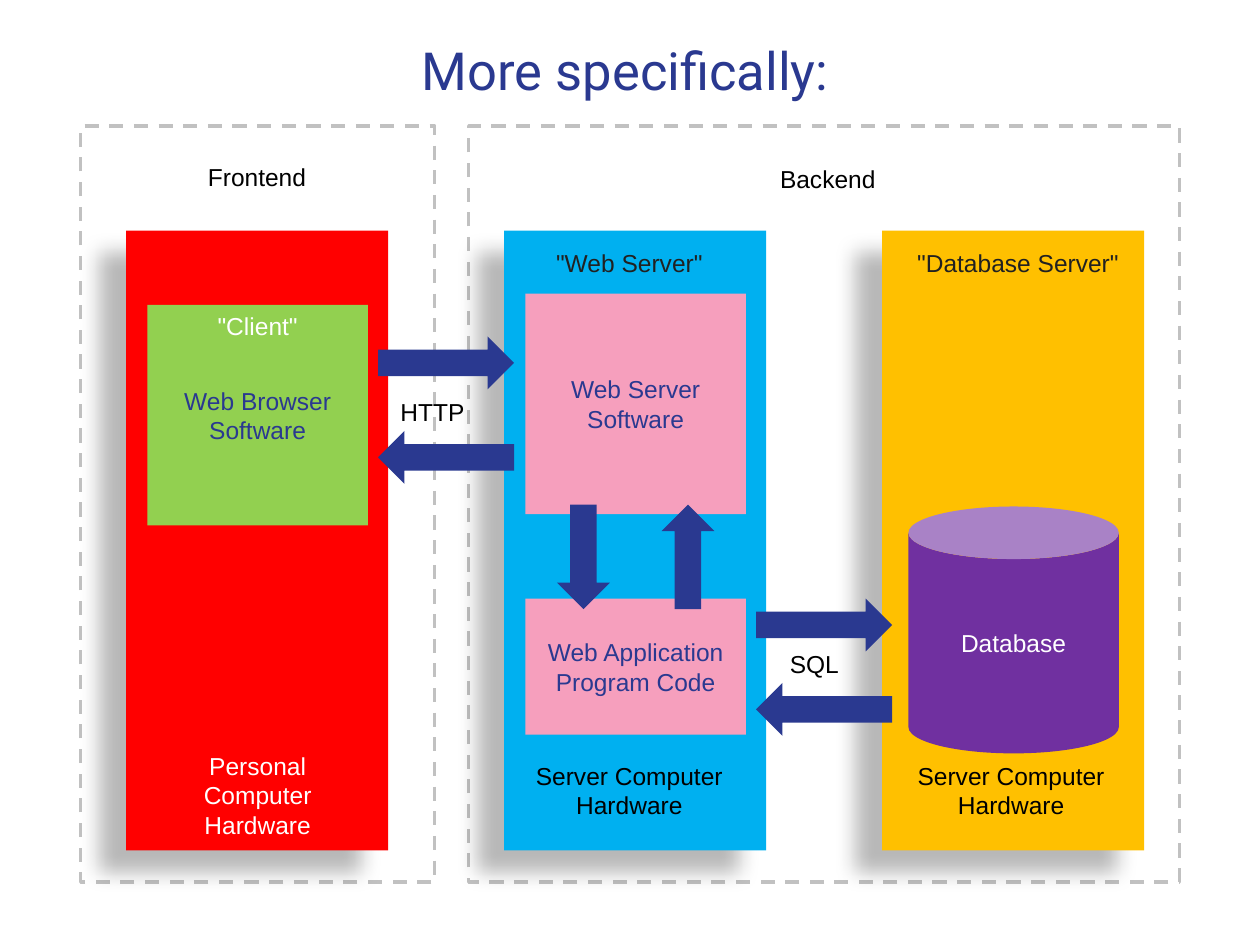
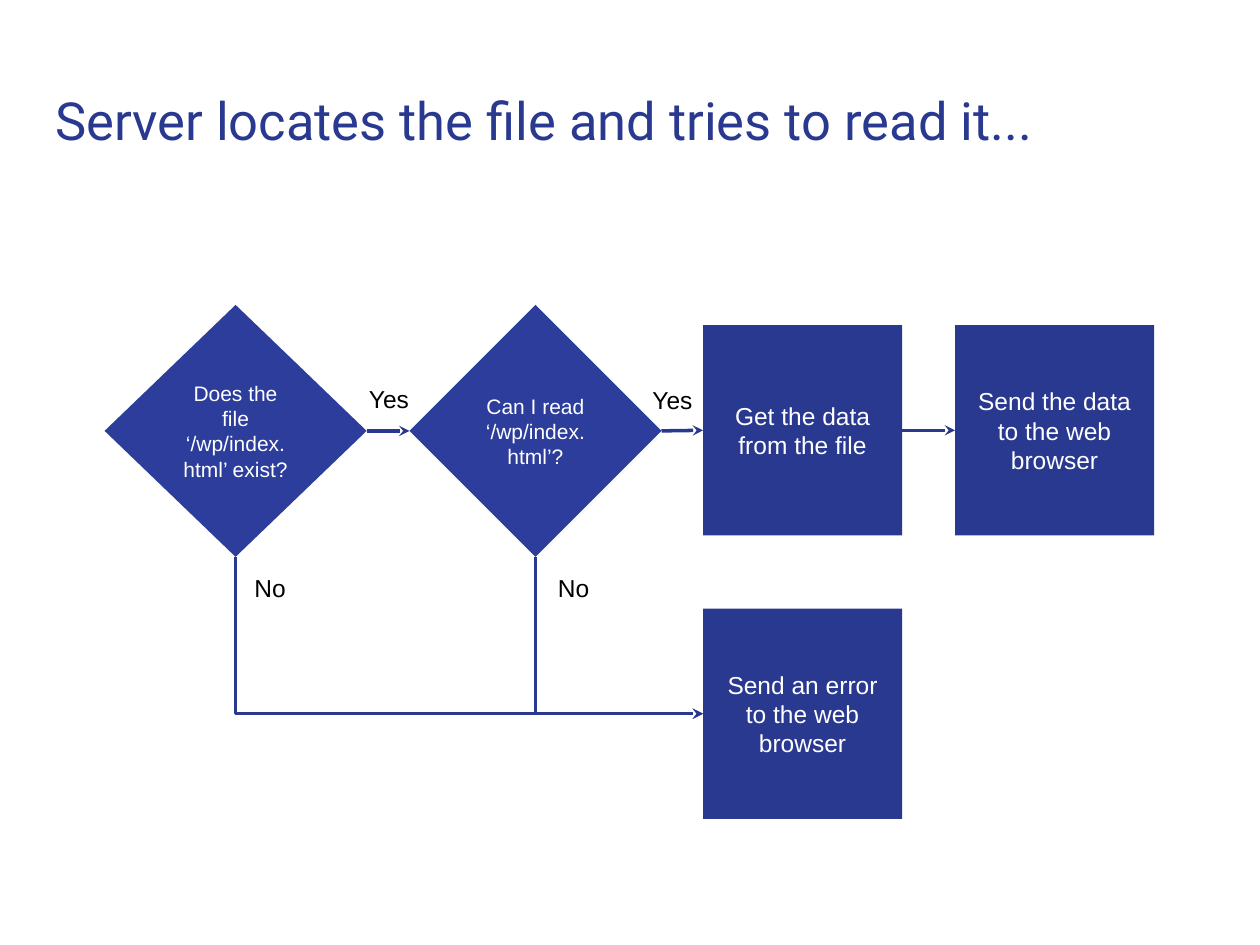
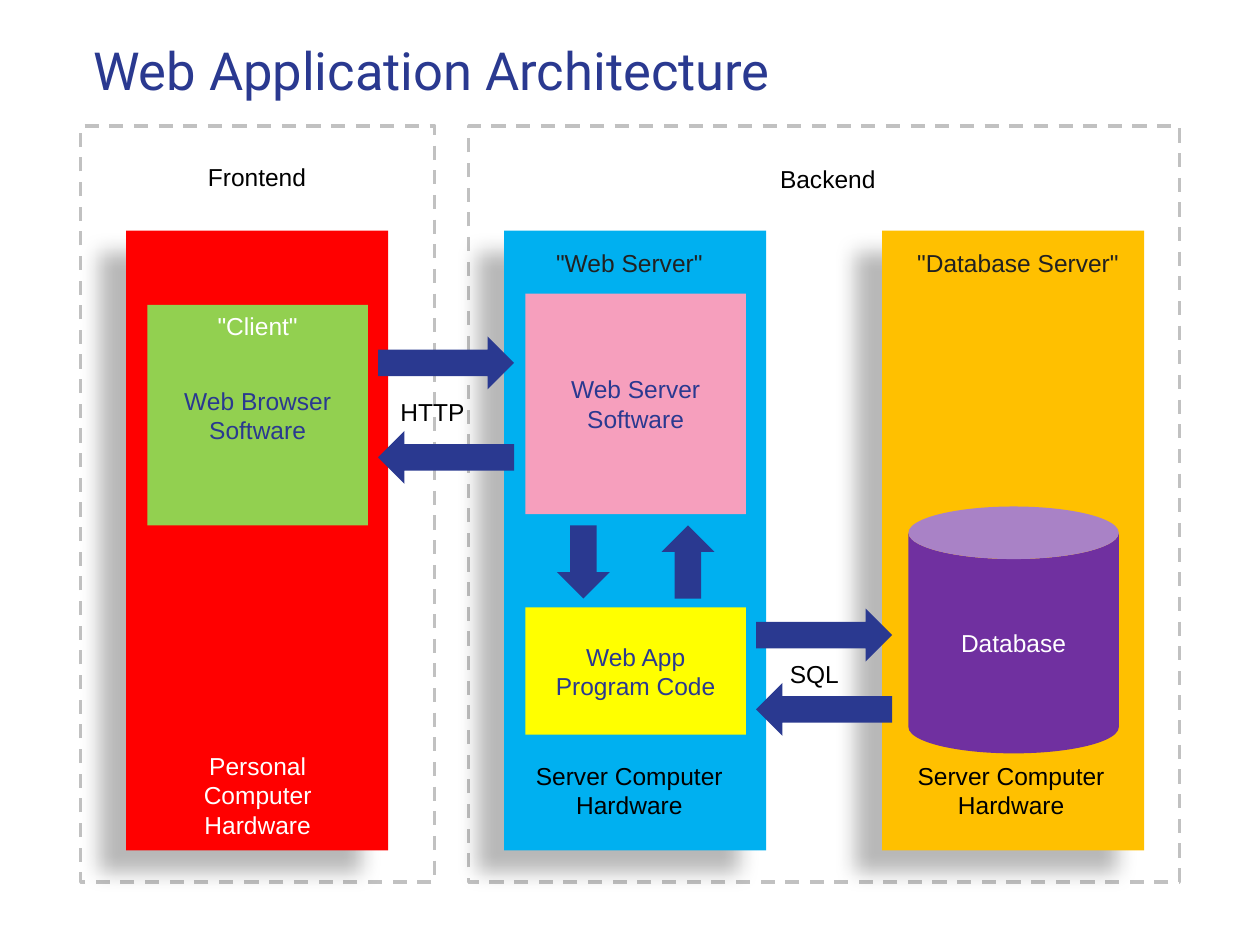
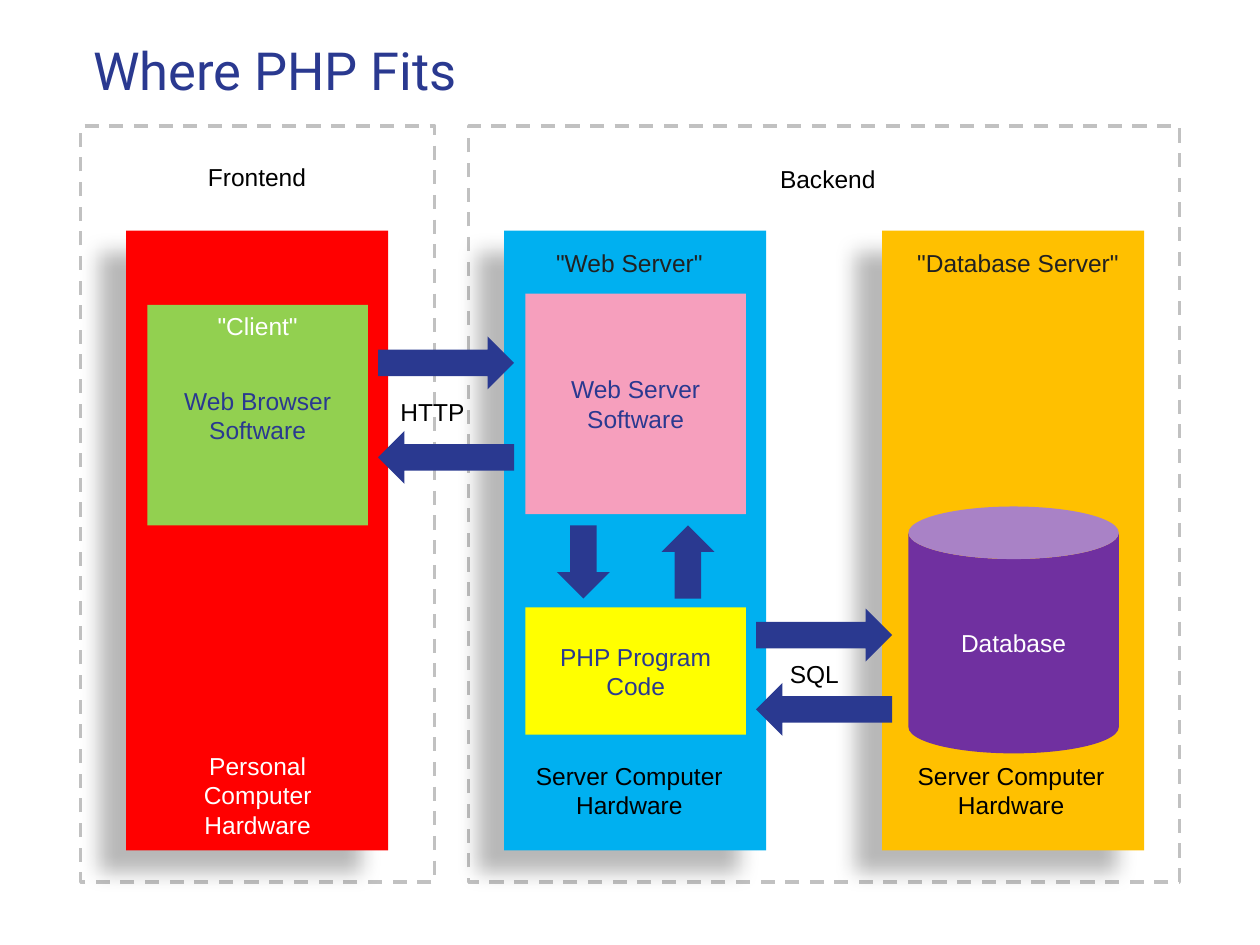
from dataclasses import dataclass

import pptx
import pptx.dml.color
import pptx.enum.dml
import pptx.enum.shapes
import pptx.enum.text
import pptx.oxml
import pptx.oxml.ns
import pptx.util
from lxml import etree

Inches = pptx.util.Inches
Pt = pptx.util.Pt
qn = pptx.oxml.ns.qn
SHAPE = pptx.enum.shapes.MSO_SHAPE
CONNECTOR = pptx.enum.shapes.MSO_CONNECTOR
ALIGN = pptx.enum.text.PP_ALIGN
ANCHOR = pptx.enum.text.MSO_ANCHOR

# Shared colours and measures
NAVY, INDIGO, WHITE, BLACK, CHARCOAL = "2A3990", "2C3D9B", "FFFFFF", "000000", "212121"
GREY, RED, GREEN, BLUE = "C1C1C1", "FF0000", "92D050", "00B0F0"
PINK, AMBER, YELLOW, PURPLE = "F69FBD", "FFC000", "FFFF00", "7030A0"
TOP, LEFT, BOTTOM, RIGHT = range(4)
ARROW_THICK = 0.42
CODE_BOTTOM = 5.83


@dataclass
class Block:
    left: float
    top: float
    width: float
    height: float
    fill: str = NAVY
    text: str = ""
    color: str = WHITE
    size: int = 14
    preset: int = SHAPE.RECTANGLE


@dataclass
class Label:
    left: float
    top: float
    width: float
    height: float
    text: str
    color: str = BLACK
    align: int = ALIGN.CENTER


@dataclass
class Arrow:
    center_x: float
    center_y: float
    length: float = 1.08
    angle: int = 0


@dataclass
class Architecture:
    title: str
    title_left: float
    title_width: float
    code_text: str
    code_fill: str
    code_top: float
    query_y: float
    loop_y: float
    loop_length: float


# Slide parts that never change between the architecture diagrams
ZONES = [(3.72, 5.64), (0.64, 2.81)]
MACHINES = [Block(1 + 3 * i, 1.83, 2.08, 4.92, fill)
            for i, fill in enumerate((RED, BLUE, AMBER))]
PROGRAMS = [
    Block(1.17, 2.42, 1.75, 1.75, GREEN, "Web Browser Software", NAVY),
    Block(4.17, 2.33, 1.75, 1.75, PINK, "Web Server Software", NAVY),
    Block(7.21, 4.02, 1.67, 1.96, PURPLE, "Database", preset=SHAPE.CAN),
]
LABELS = [
    Label(1.17, 5.91, 1.75, 1.01, "Personal Computer Hardware", WHITE),
    Label(4.12, 5.99, 1.75, 1.01, "Server Computer Hardware"),
    Label(7.15, 5.99, 1.75, 1.01, "Server Computer Hardware"),
    Label(1.17, 2.42, 1.75, 0.34, '"Client"', WHITE),
    Label(4.12, 1.92, 1.75, 0.34, '"Web Server"', CHARCOAL),
    Label(7.08, 1.92, 2, 0.34, '"Database Server"', CHARCOAL),
    Label(1, 1.24, 2.08, 0.34, "Frontend"),
    Label(5.53, 1.25, 2.08, 0.34, "Backend"),
    Label(3.08, 3.1, 0.92, 0.4, "HTTP", align=ALIGN.LEFT),
]


def rgb(value: str):
    return pptx.dml.color.RGBColor.from_string(value)


def write(sp, text: str, *, size=14, color=BLACK, font="Arial", align=ALIGN.LEFT,
          anchor=ANCHOR.TOP, inset=0.05) -> None:
    tf = sp.text_frame
    tf.word_wrap = True
    tf.vertical_anchor = anchor
    tf.margin_left = tf.margin_right = Inches(0.1)
    tf.margin_top = tf.margin_bottom = Inches(inset)
    p = tf.paragraphs[0]
    p.alignment = align
    r = p.add_run()
    r.text = text
    r.font.name = font
    r.font.size = Pt(size)
    r.font.color.rgb = rgb(color)


def add_title(s, text: str, left: float, top: float, width: float) -> None:
    sp = s.shapes.add_textbox(Inches(left), Inches(top), Inches(width), Inches(0.89))
    write(sp, text, size=30, color=NAVY, font="Roboto", inset=0.1)


def add_block(s, block: Block):
    sp = s.shapes.add_shape(block.preset, Inches(block.left), Inches(block.top),
                            Inches(block.width), Inches(block.height))
    sp.shadow.inherit = False
    sp.fill.solid()
    sp.fill.fore_color.rgb = rgb(block.fill)
    sp.line.fill.background()
    if block.text:
        write(sp, block.text, size=block.size, color=block.color,
              align=ALIGN.CENTER, anchor=ANCHOR.MIDDLE)
    return sp


def add_label(s, label: Label) -> None:
    sp = s.shapes.add_textbox(Inches(label.left), Inches(label.top),
                              Inches(label.width), Inches(label.height))
    write(sp, label.text, color=label.color, align=label.align)
    sp.text_frame.auto_size = pptx.enum.text.MSO_AUTO_SIZE.SHAPE_TO_FIT_TEXT


def add_arrow(s, arrow: Arrow) -> None:
    sp = add_block(s, Block(arrow.center_x - arrow.length / 2,
                            arrow.center_y - ARROW_THICK / 2,
                            arrow.length, ARROW_THICK, preset=SHAPE.RIGHT_ARROW))
    sp.rotation = arrow.angle


def add_zone(s, left: float, width: float) -> None:
    sp = s.shapes.add_shape(SHAPE.RECTANGLE, Inches(left), Inches(1), Inches(width), Inches(6))
    sp.shadow.inherit = False
    sp.fill.background()
    sp.line.color.rgb = rgb(GREY)
    sp.line.width = Pt(2)
    sp.line.dash_style = pptx.enum.dml.MSO_LINE.DASH


def add_machine(s, block: Block) -> None:
    """Hardware column with a soft shadow falling to the lower left."""
    sp = add_block(s, block)
    effects = sp._element.spPr.find(qn("a:effectLst"))
    shadow = etree.SubElement(effects, qn("a:outerShdw"), blurRad=str(Pt(11.8)),
                              dist=str(Pt(19.7)), dir=str(141 * 60000),
                              algn="tr", rotWithShape="0")
    color = etree.SubElement(shadow, qn("a:srgbClr"), val=BLACK)
    etree.SubElement(color, qn("a:alpha"), val="28000")


def style_connector(sp) -> None:
    sp.line.color.rgb = rgb(NAVY)
    sp.line.width = Pt(2)
    etree.SubElement(sp.line._get_or_add_ln(), qn("a:tailEnd"), type="stealth")
    etree.SubElement(sp._element.spPr, qn("a:effectLst"))


def join(s, source, target) -> None:
    sp = s.shapes.add_connector(CONNECTOR.STRAIGHT, 0, 0, 0, 0)
    sp.begin_connect(source, RIGHT)
    sp.end_connect(target, LEFT)
    style_connector(sp)


def join_down_right(s, source, target) -> None:
    """One-bend connector from the bottom of source to the left of target."""
    x1, y1 = source.left + source.width // 2, source.top + source.height
    x2, y2 = target.left, target.top + target.height // 2
    across, down = x2 - x1, y2 - y1
    left, top = (x1 + x2 - down) // 2, (y1 + y2 - across) // 2
    sp = s.shapes.add_connector(CONNECTOR.ELBOW, left, top, left + down, top + across)
    spPr = sp._element.spPr
    spPr.find(qn("a:prstGeom")).set("prst", "bentConnector2")
    xfrm = spPr.find(qn("a:xfrm"))
    xfrm.set("rot", str(270 * 60000))
    xfrm.set("flipH", "1")
    style_connector(sp)


def architecture_slide(s, a: Architecture) -> None:
    for left, width in ZONES:
        add_zone(s, left, width)
    add_title(s, a.title, a.title_left, 0.2, a.title_width)
    for machine in MACHINES:
        add_machine(s, machine)
    code = Block(4.17, a.code_top, 1.75, CODE_BOTTOM - a.code_top,
                 a.code_fill, a.code_text, NAVY)
    for block in PROGRAMS + [code]:
        add_block(s, block)

    # Requests, replies and the loop between server and program
    for arrow in (
        Arrow(3.54, 2.88),
        Arrow(3.54, 3.63, angle=180),
        Arrow(6.54, a.query_y),
        Arrow(6.54, 5.63, angle=180),
        Arrow(4.63, a.loop_y, a.loop_length, 90),
        Arrow(5.46, a.loop_y, a.loop_length, 270),
    ):
        add_arrow(s, arrow)
    query = Label(6.17, a.query_y + 0.14, 0.67, 0.4, "SQL", align=ALIGN.LEFT)
    for label in LABELS + [query]:
        add_label(s, label)


def flowchart_slide(s) -> None:
    add_title(s, "Server locates the file and tries to read it...", 0.34, 0.6, 9.32)

    # Decisions and steps
    exists, readable = (
        add_block(s, Block(left, 2.42, width, 2, INDIGO, text, size=12, preset=SHAPE.DIAMOND))
        for left, width, text in (
            (0.83, 2.08, "Does the file ‘/wp/index.html’ exist?"),
            (3.25, 2, "Can I read ‘/wp/index.html’?"),
        ))
    get_data, send_data, send_error = (
        add_block(s, Block(left, top, 1.58, 1.67, text=text))
        for left, top, text in (
            (5.58, 2.58, "Get the data from the file"),
            (7.58, 2.58, "Send the data to the web browser"),
            (5.58, 4.83, "Send an error to the web browser"),
        ))

    # Paths
    flow = [exists, readable, get_data, send_data]
    for source, target in zip(flow, flow[1:]):
        join(s, source, target)
    for decision in (exists, readable):
        join_down_right(s, decision, send_error)
    for left, top, text in ((2.83, 3, "Yes"), (5.08, 3.01, "Yes"),
                            (1.92, 4.5, "No"), (4.33, 4.5, "No")):
        add_label(s, Label(left, top, 0.58, 0.4, text, align=ALIGN.LEFT))


def main() -> None:
    prs = pptx.Presentation()
    prs.slide_width, prs.slide_height = Inches(10), Inches(7.5)
    blank = prs.slide_layouts[6]

    architecture_slide(prs.slides.add_slide(blank), Architecture(
        "More specifically:", 3.25, 3.5, "Web Application Program Code", PINK,
        code_top=4.75, query_y=4.96, loop_y=4.42, loop_length=0.83))
    flowchart_slide(prs.slides.add_slide(blank))
    for title, code_text in (("Web Application Architecture", "Web App Program Code"),
                             ("Where PHP Fits", "PHP Program Code")):
        architecture_slide(prs.slides.add_slide(blank), Architecture(
            title, 0.64, 8.72, code_text, YELLOW,
            code_top=4.82, query_y=5.04, loop_y=4.46, loop_length=0.58))

    prs.save("out.pptx")


if __name__ == "__main__":
    main()
